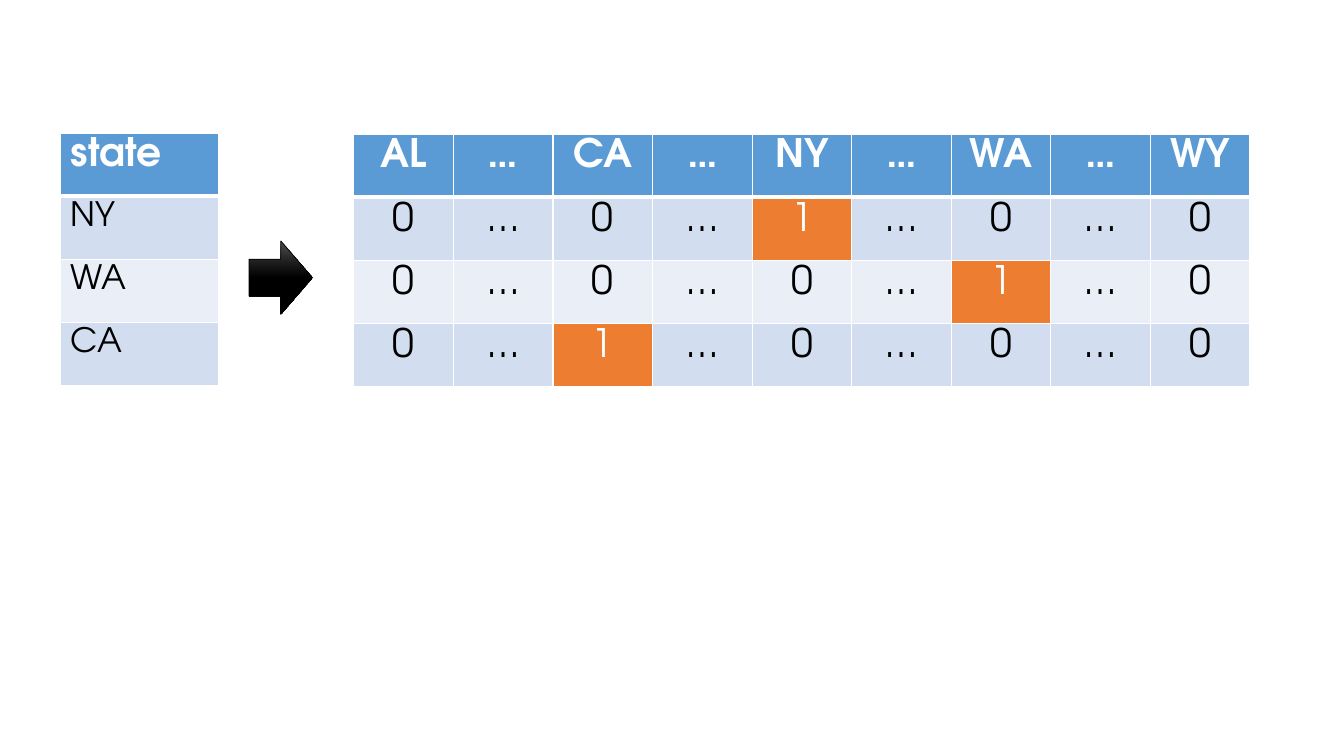
import copy

import pptx
import pptx.dml.color
import pptx.enum.shapes
import pptx.enum.text
import pptx.oxml
import pptx.oxml.ns
import pptx.util

PX = 9144
FONT = "TeX Gyre Adventor"
HEADER, HOT, BANDS = "5B9BD5", "ED7D31", ("D2DEEF", "EAEFF7")
STATES = ["NY", "WA", "CA"]
COLUMNS = ["AL", "…", "CA", "…", "NY", "…", "WA", "…", "WY"]


def px(n):
    """Turn px, 100 to the inch, into EMU."""
    return pptx.util.Emu(round(n * PX))


def rgb(color):
    """Turn a hex string into a colour."""
    return pptx.dml.color.RGBColor.from_string(color)


def set_borders(cell, bottom):
    """Give a cell white borders, with the bottom one of its own width."""
    tcPr = cell._tc.get_or_add_tcPr()
    for i, (side, width) in enumerate([("L", 1), ("R", 1), ("T", 1), ("B", bottom)]):
        ln = pptx.oxml.parse_xml(
            f'<a:ln{side} {pptx.oxml.ns.nsdecls("a")} w="{pptx.util.Pt(width)}">'
            f'<a:solidFill><a:srgbClr val="FFFFFF"/></a:solidFill></a:ln{side}>')
        tcPr.insert(i, ln)


def add_cell(cell, text, size, fill, color, bold, align):
    """Fill one cell and write its text."""
    cell.fill.solid()
    cell.fill.fore_color.rgb = rgb(fill)
    p = cell.text_frame.paragraphs[0]
    p.alignment = align
    r = p.add_run()
    r.text = text
    r.font.name = FONT
    r.font.size = pptx.util.Pt(size)
    r.font.bold = bold
    r.font.color.rgb = rgb(color)


def add_grid(s, x, y, w, h, rows, body_size, align):
    """Draw a banded table with a header row and each 1 highlighted."""
    n_cols = len(rows[0])
    table = s.shapes.add_table(len(rows), n_cols, px(x), px(y), px(w), px(h)).table
    for column in table.columns:
        column.width = px(w / n_cols)
    for i, row in enumerate(rows):
        table.rows[i].height = px(h / len(rows))
        for j, text in enumerate(row):
            cell = table.cell(i, j)
            if i == 0:
                add_cell(cell, text, 28, HEADER, "FFFFFF", True, align)
            elif text == "1":
                add_cell(cell, text, body_size, HOT, "FFFFFF", False, align)
            else:
                add_cell(cell, text, body_size, BANDS[(i - 1) % 2], "000000", False, align)
            set_borders(cell, 3 if i == 0 else 1)


def add_arrow(s, x, y, w, h):
    """Draw the black gradient arrow between the tables."""
    sp = s.shapes.add_shape(pptx.enum.shapes.MSO_SHAPE.RIGHT_ARROW, px(x), px(y), px(w), px(h))
    sp.shadow.inherit = False
    sp.fill.gradient()
    sp.fill.gradient_angle = 270
    stops = sp._element.spPr.find(".//" + pptx.oxml.ns.qn("a:gsLst"))
    stops.append(copy.deepcopy(stops[-1]))
    for stop, position, color in zip(sp.fill.gradient_stops, (0, 0.5, 1),
                                     ("4B4B4B", "000000", "000000")):
        stop.position = position
        stop.color.rgb = rgb(color)
    sp.line.color.rgb = rgb("000000")
    sp.line.width = pptx.util.Pt(0.5)


def one_hot(state):
    """Return the row of indicators for a state."""
    return [name if name == "…" else str(int(name == state)) for name in COLUMNS]


def main():
    """Build the one-hot encoding slide."""
    prs = pptx.Presentation()
    prs.slide_width, prs.slide_height = px(1333), px(750)
    s = prs.slides.add_slide(prs.slide_layouts[6])
    align = pptx.enum.text.PP_ALIGN
    add_grid(s, 60, 132, 157, 251, [["state"]] + [[state] for state in STATES], 24, align.LEFT)
    add_grid(s, 351, 133, 889, 251, [COLUMNS] + [one_hot(state) for state in STATES], 28, align.CENTER)
    add_arrow(s, 247, 239, 63, 73)
    prs.save("out.pptx")


if __name__ == "__main__":
    main()
